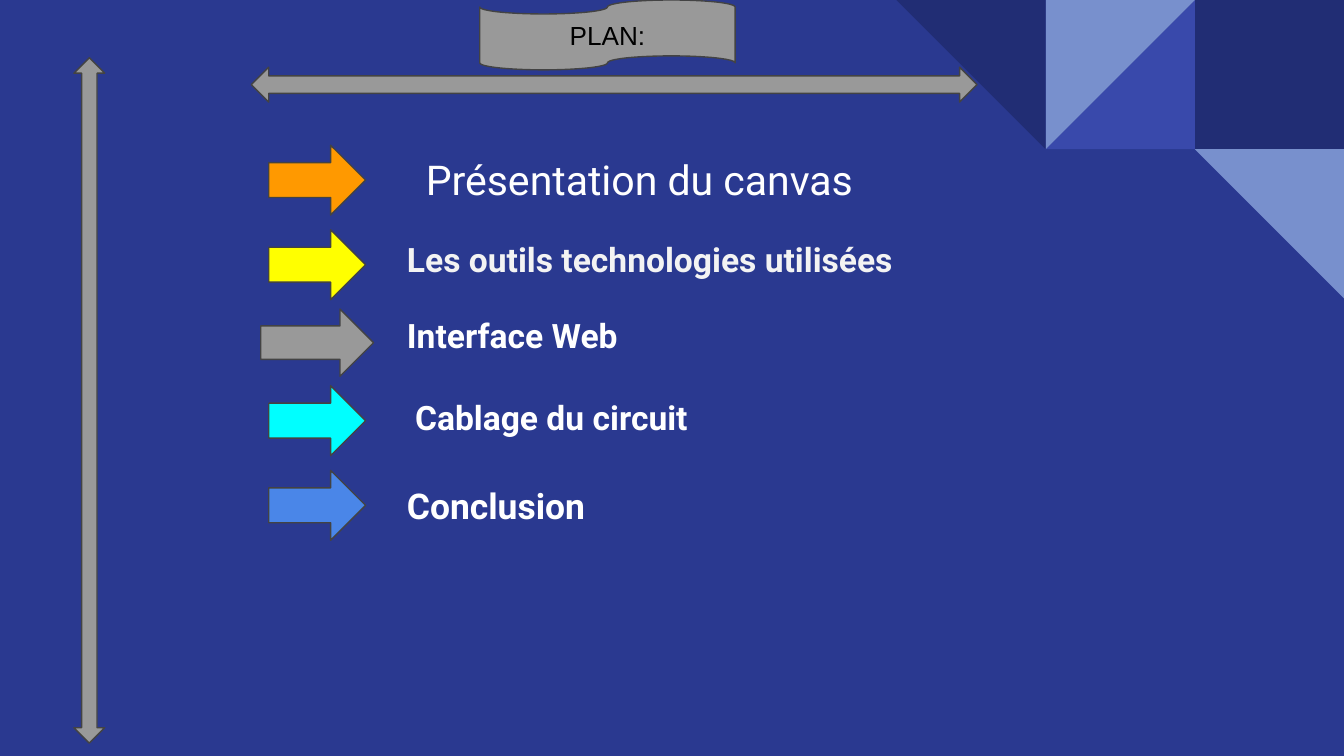
from pptx import Presentation
from pptx.dml.color import RGBColor
from pptx.enum import shapes, text
from pptx.util import Inches, Pt

MSO = shapes.MSO_SHAPE
GREY = "999999"


def color(value):
    return RGBColor.from_string(value)


def add_shape(s, kind, box, fill, outlined=True):
    sp = s.shapes.add_shape(kind, *map(Inches, box))
    sp.shadow.inherit = False
    sp.fill.solid()
    sp.fill.fore_color.rgb = color(fill)
    if outlined:
        sp.line.color.rgb = color("434343")
        sp.line.width = Pt(0.75)
    else:
        sp.line.fill.background()
    return sp


def set_text(sp, words, size, ink, font="Roboto", bold=False):
    tf = sp.text_frame
    tf.word_wrap = True
    tf.margin_left = tf.margin_right = Inches(0.1)
    tf.margin_top = tf.margin_bottom = Inches(0.1)
    tf.text = words
    r = tf.paragraphs[0].runs[0]
    r.font.name = font
    r.font.size = Pt(size)
    r.font.bold = bold
    r.font.color.rgb = color(ink)
    return tf


def add_corner(s, left, top, side):
    tiles = [
        (2, 0, MSO.RECTANGLE, 0, "212D74"),
        (1, 0, MSO.RIGHT_TRIANGLE, 270, "3949AB"),
        (1, 0, MSO.RIGHT_TRIANGLE, 90, "7890CD"),
        (0, 0, MSO.RIGHT_TRIANGLE, 180, "212D74"),
        (2, 1, MSO.RIGHT_TRIANGLE, 180, "7890CD"),
    ]
    for col, row, kind, angle, fill in tiles:
        box = (left + col * side, top + row * side, side, side)
        add_shape(s, kind, box, fill, outlined=False).rotation = angle


def add_frame(s, left, top):
    add_shape(s, MSO.LEFT_RIGHT_ARROW, (left + 1.32, top + 0.5, 5.4, 0.26), GREY)
    add_shape(s, MSO.UP_DOWN_ARROW, (left, top + 0.43, 0.23, 5.1), GREY)
    banner = add_shape(s, MSO.FLOWCHART_PUNCHED_TAPE, (left + 3.02, top, 1.9, 0.52), GREY)
    tf = set_text(banner, "PLAN:", 14, "000000", font="Arial")
    tf.vertical_anchor = text.MSO_ANCHOR.MIDDLE
    tf.paragraphs[0].alignment = text.PP_ALIGN.CENTER


def add_plan(s, left, top):
    arrow, wide_arrow = (0.06, 0.72, 0.52), (0, 0.84, 0.5)
    items = [
        ("Présentation du canvas", 22, "FFFFFF", False, 1.13, 0, arrow, 0.03, "FF9900"),
        ("Les outils technologies utilisées", 18, "F3F3F3", True, 0.99, 0.63, arrow, 0.66, "FFFF00"),
        ("Interface Web", 18, "FFFFFF", True, 0.99, 1.19, wide_arrow, 1.25, GREY),
        ("Cablage du circuit", 18, "FFFFFF", True, 1.05, 1.8, arrow, 1.82, "00FFFF"),
        ("Conclusion", 19, "FFFFFF", True, 0.99, 2.45, arrow, 2.45, "4A86E8"),
    ]
    for words, size, ink, bold, dx, dy, (ax, width, height), ay, fill in items:
        add_shape(s, MSO.RIGHT_ARROW, (left + ax, top + ay, width, height), fill)
        box = (left + dx, top + dy, 5, 0.5)
        set_text(s.shapes.add_textbox(*map(Inches, box)), words, size, ink, bold=bold)


def main():
    prs = Presentation()
    prs.slide_width = Inches(10)
    prs.slide_height = prs.slide_width * 9 // 16
    s = prs.slides.add_slide(prs.slide_layouts[6])
    s.background.fill.solid()
    s.background.fill.fore_color.rgb = color("2A3990")
    add_corner(s, 6.67, 0, 1.11)
    add_frame(s, 0.55, 0)
    add_plan(s, 1.94, 1.05)
    prs.save("out.pptx")


if __name__ == "__main__":
    main()
